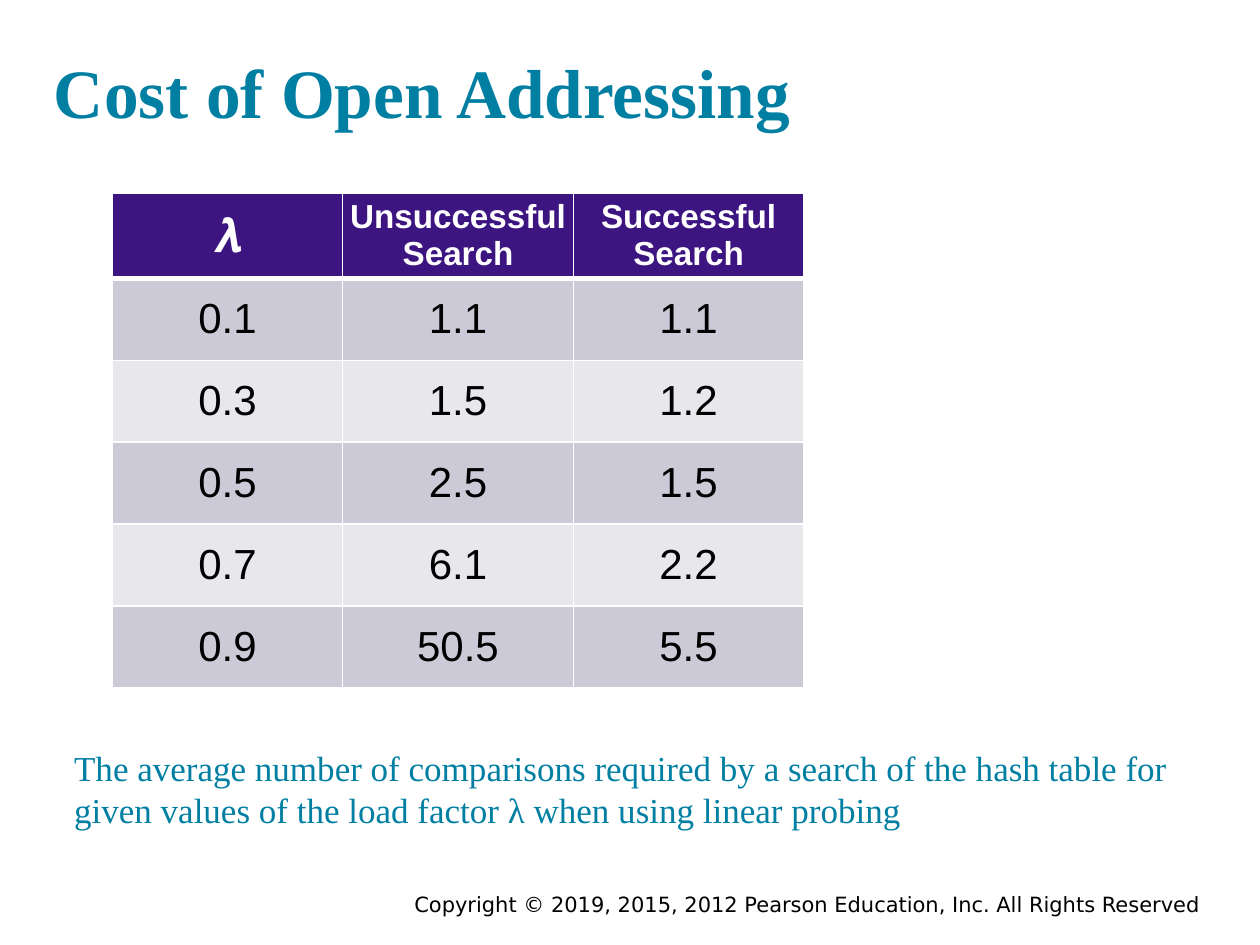
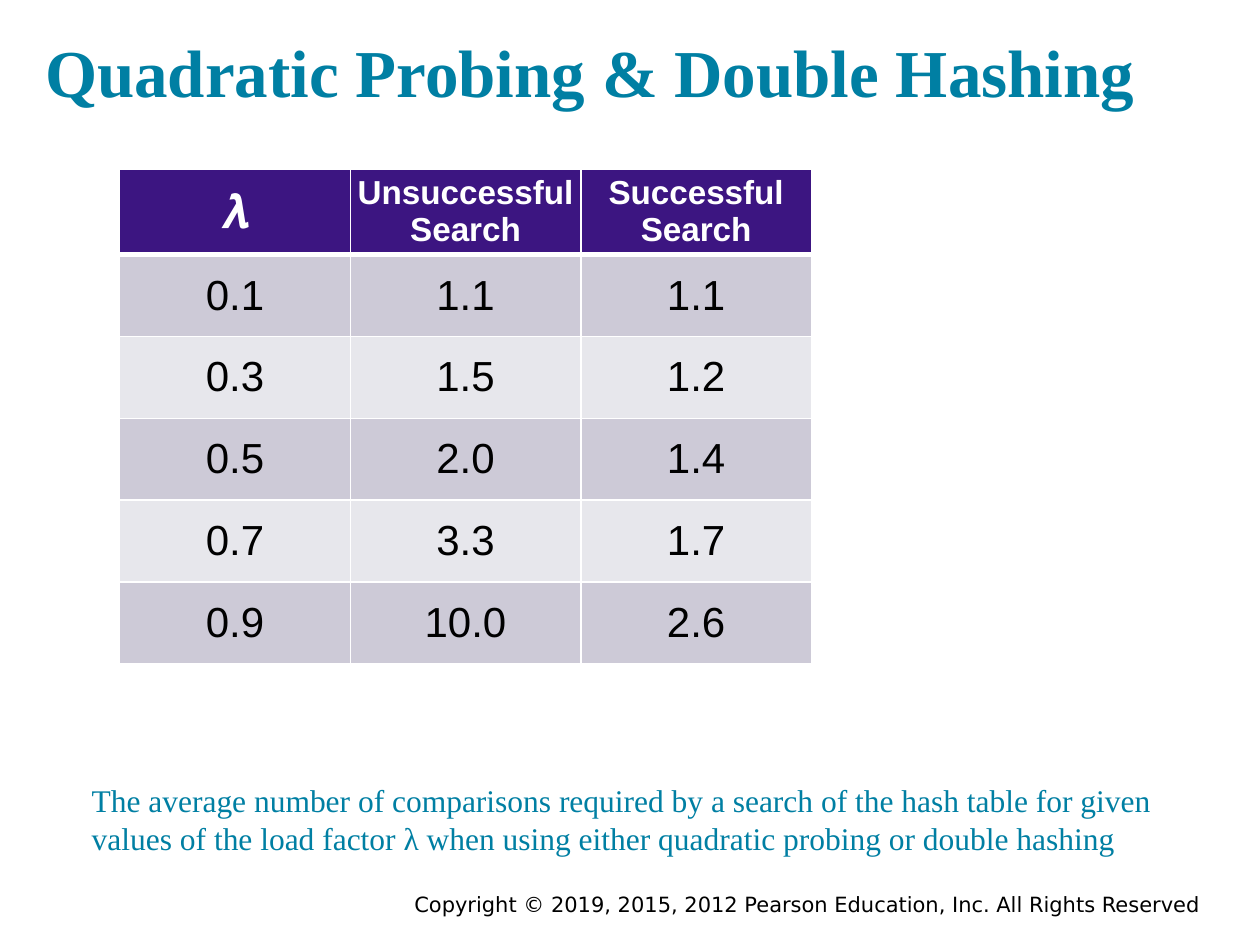
from dataclasses import dataclass

from lxml import etree
from pptx import Presentation, util as u
from pptx.dml.color import RGBColor
from pptx.enum import text
from pptx.oxml.ns import qn

SLIDE_WIDTH, SLIDE_HEIGHT = u.Inches(10), u.Inches(7.5)


@dataclass(frozen=True)
class Theme:
    heading: str = "007FA3"
    header_fill: str = "3C1581"
    bands: tuple = ("CDCAD7", "E7E7EC")
    light: str = "FFFFFF"
    dark: str = "000000"
    serif: str = "Times New Roman"
    sans: str = "Arial"
    footer_font: str = "DejaVu Sans"
    footer_size: float = 12
    symbol_size: float = 27
    header_size: float = 19
    value_size: float = 24
    rule: float = 1
    header_rule: float = 3


THEME = Theme()
COPYRIGHT = "Copyright © 2019, 2015, 2012 Pearson Education, Inc. All Rights Reserved"
HEADERS = ("𝝀", "Unsuccessful Search", "Successful Search")
LOAD_FACTORS = ("0.1", "0.3", "0.5", "0.7", "0.9")
CAPTION = ("The average number of comparisons required by a search of the hash table "
           "for given values of the load factor λ when using ")


def across(percent):
    return round(SLIDE_WIDTH * percent / 100)


def down(percent):
    return round(SLIDE_HEIGHT * percent / 100)


def place(left, top, width, height):
    """Turn percentages of the slide into a position and a size."""
    return across(left), down(top), across(width), down(height)


def add_run(paragraph, words, font, size, color, bold=False):
    run = paragraph.add_run()
    run.text = words
    run.font.name, run.font.size, run.font.bold = font, u.Pt(size), bold
    run.font.color.rgb = RGBColor.from_string(color)


def add_text(slide, area, words, font, size, color, bold=False, inset=0.1,
             anchor=text.MSO_ANCHOR.BOTTOM, align=text.PP_ALIGN.LEFT):
    frame = slide.shapes.add_textbox(*place(*area)).text_frame
    frame.word_wrap = True
    frame.vertical_anchor = anchor
    frame.margin_left = frame.margin_right = u.Inches(inset)
    frame.margin_top = frame.margin_bottom = u.Inches(inset)
    frame.paragraphs[0].alignment = align
    add_run(frame.paragraphs[0], words, font, size, color, bold)


def add_footer(slide):
    add_text(slide, (17.5, 93.73, 78.3, 4.13), COPYRIGHT, THEME.footer_font,
             THEME.footer_size, THEME.dark, inset=0.05,
             anchor=text.MSO_ANCHOR.TOP, align=text.PP_ALIGN.RIGHT)


def set_borders(cell, top, bottom):
    """Rule all four sides; top and bottom widths are in points."""
    properties = cell._tc.get_or_add_tcPr()
    widths = {"L": THEME.rule, "R": THEME.rule, "T": top, "B": bottom}
    for side, width in widths.items():
        line = etree.SubElement(properties, qn(f"a:ln{side}"), w=str(u.Pt(width)))
        fill = etree.SubElement(line, qn("a:solidFill"))
        etree.SubElement(fill, qn("a:srgbClr"), val=THEME.light)


def fill_cell(cell, words, fill, size, color, bold):
    cell.margin_left = cell.margin_right = cell.margin_top = cell.margin_bottom = 0
    cell.vertical_anchor = text.MSO_ANCHOR.MIDDLE
    cell.fill.solid()
    cell.fill.fore_color.rgb = RGBColor.from_string(fill)
    paragraph = cell.text_frame.paragraphs[0]
    paragraph.alignment = text.PP_ALIGN.CENTER
    add_run(paragraph, words, THEME.sans, size, color, bold)


def add_cost_table(slide, left, top, unsuccessful, successful):
    rows = [HEADERS, *zip(LOAD_FACTORS, unsuccessful, successful)]
    table = slide.shapes.add_table(len(rows), len(HEADERS),
                                   *place(left, top, 54.9, 52.4)).table
    table.horz_banding = False
    for column in table.columns:
        column.width = across(18.3)
    for r, values in enumerate(rows):
        is_header = r == 0
        table.rows[r].height = down(9.07 if is_header else 8.67)
        for c, words in enumerate(values):
            cell = table.cell(r, c)
            set_borders(cell,
                        top=THEME.header_rule if r == 1 else THEME.rule,
                        bottom=THEME.header_rule if is_header else THEME.rule)
            if is_header:
                size = THEME.header_size if c else THEME.symbol_size
                fill_cell(cell, words, THEME.header_fill, size, THEME.light, True)
            else:
                band = THEME.bands[(r - 1) % 2]
                fill_cell(cell, words, band, THEME.value_size, THEME.dark, False)


def add_cost_slide(deck, title, title_at, title_size, method, caption_area,
                   caption_size, table_at, unsuccessful, successful):
    slide = deck.slides.add_slide(deck.slide_layouts[6])
    add_footer(slide)
    add_text(slide, (*title_at, 93.1, 11.73), title, THEME.serif, title_size,
             THEME.heading, bold=True)
    add_text(slide, caption_area, CAPTION + method, THEME.serif, caption_size,
             THEME.heading)
    add_cost_table(slide, *table_at, unsuccessful, successful)


def main():
    deck = Presentation()
    deck.slide_width, deck.slide_height = SLIDE_WIDTH, SLIDE_HEIGHT
    add_cost_slide(
        deck, "Cost of Open Addressing", (3.3, 3.6), 39.6,
        "linear probing", (4.9, 77.47, 90, 11.73), 20, (8.9, 20.4),
        unsuccessful=("1.1", "1.5", "2.5", "6.1", "50.5"),
        successful=("1.1", "1.2", "1.5", "2.2", "5.5"))
    add_cost_slide(
        deck, "Quadratic Probing & Double Hashing", (2.6, 1.33), 38.3,
        "either quadratic probing or double hashing", (6.3, 80.53, 88.7, 11.47), 18,
        (9.5, 17.87),
        unsuccessful=("1.1", "1.5", "2.0", "3.3", "10.0"),
        successful=("1.1", "1.2", "1.4", "1.7", "2.6"))
    deck.save("out.pptx")


if __name__ == "__main__":
    main()
